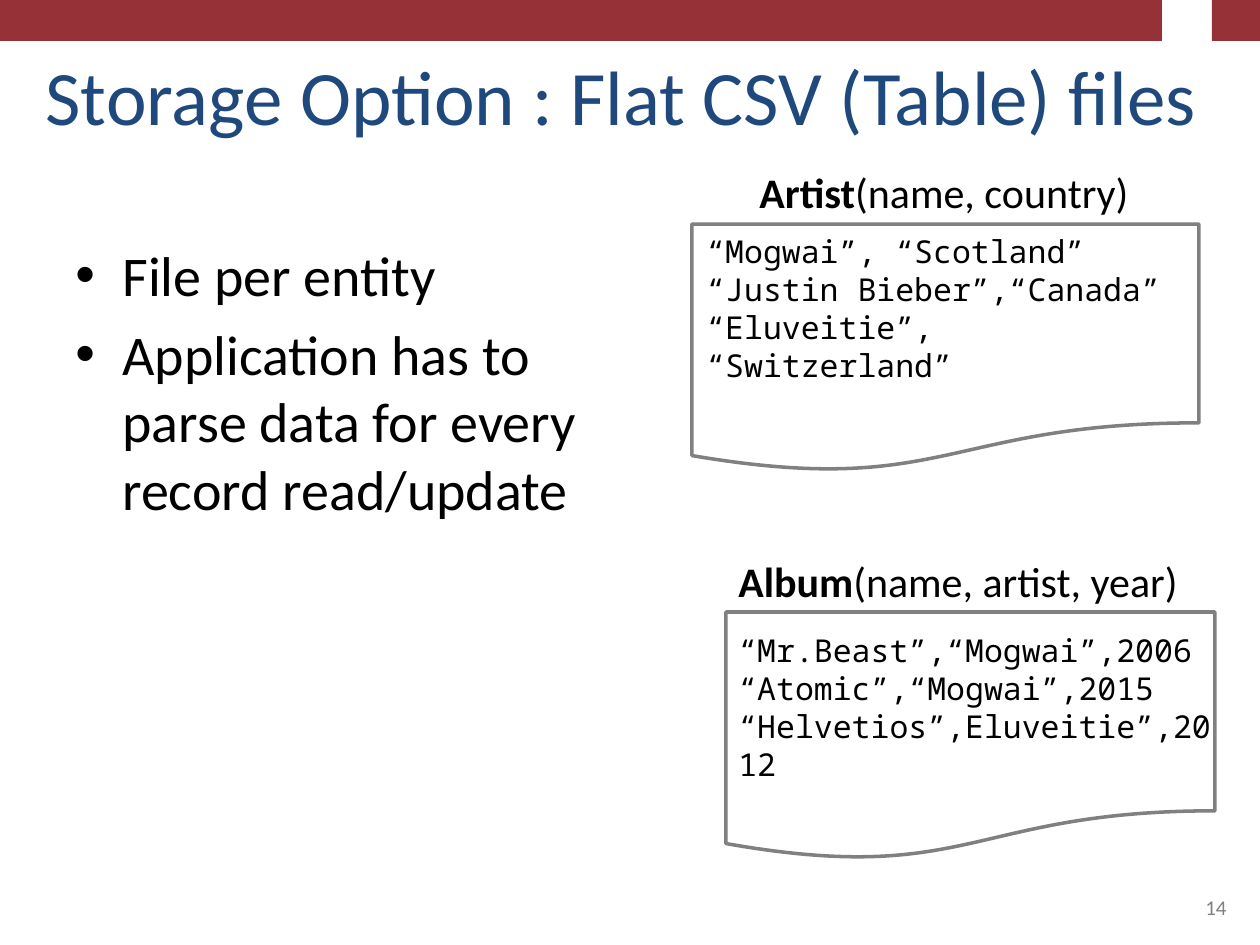
from dataclasses import dataclass

from lxml import etree
from pptx import Presentation
from pptx import util as u
from pptx.dml.color import RGBColor
from pptx.enum import shapes, text
from pptx.oxml.ns import qn

PX_PER_INCH = 126


@dataclass(frozen=True)
class Theme:
    band: RGBColor = RGBColor(0x96, 0x32, 0x37)
    title: RGBColor = RGBColor(0x1F, 0x49, 0x7D)
    ink: RGBColor = RGBColor(0, 0, 0)
    grey: RGBColor = RGBColor(0x80, 0x80, 0x80)
    font: str = "Calibri"
    mono: str = "Noto Sans Mono"
    title_pt: int = 44
    body_pt: int = 32
    label_pt: int = 24
    code_pt: int = 18
    number_pt: int = 12


THEME = Theme()


@dataclass(frozen=True)
class Box:
    left: int
    top: int
    width: int
    height: int

    def emu(self) -> list[int]:
        return [px(v) for v in (self.left, self.top, self.width, self.height)]


@dataclass(frozen=True)
class CsvFile:
    entity: str
    fields: str
    label: Box
    page: Box
    rows_box: Box
    rows: tuple[str, ...]


FILES = (
    CsvFile("Artist", "(name, country)", Box(747, 160, 397, 63),
            Box(692, 224, 507, 248), Box(694, 226, 501, 127),
            ("“Mogwai”, “Scotland”\v“Justin Bieber”,“Canada”",
             "“Eluveitie”, “Switzerland”")),
    CsvFile("Album", "(name, artist, year)", Box(726, 549, 479, 63),
            Box(726, 612, 489, 248), Box(726, 625, 501, 127),
            ("“Mr.Beast”,“Mogwai”,2006\v“Atomic”,“Mogwai”,2015",
             "“Helvetios”,Eluveitie”,2012")),
)
BULLETS = ("File per entity",
           "Application has to\vparse data for every\vrecord read/update")
BAND_PIECES = (Box(0, 0, 677, 41), Box(454, 0, 687, 41),
               Box(1115, 0, 47, 41), Box(1212, 0, 48, 41))


def px(value: int) -> int:
    return round(value * u.Inches(1) / PX_PER_INCH)


def style(p, size: int, color: RGBColor, font: str = THEME.font) -> None:
    for r in p.runs:
        r.font.size, r.font.name = u.Pt(size), font
        r.font.color.rgb = color


def add_text(s, box: Box, lines: tuple[str, ...], size: int,
             color: RGBColor = THEME.ink, font: str = THEME.font):
    tf = s.shapes.add_textbox(*box.emu()).text_frame
    tf.word_wrap = True
    tf.text = "\n".join(lines)
    for p in tf.paragraphs:
        style(p, size, color, font)
    return tf


def add_band_piece(s, box: Box) -> None:
    sp = s.shapes.add_shape(shapes.MSO_SHAPE.RECTANGLE, *box.emu())
    sp.shadow.inherit = False
    sp.fill.solid()
    sp.fill.fore_color.rgb = THEME.band
    sp.line.fill.background()


def add_title(s, title: str) -> None:
    sp = s.shapes.title
    sp.left, sp.top, sp.width, sp.height = Box(0, 38, 1260, 109).emu()
    tf = sp.text_frame
    tf.text = title
    tf.auto_size = text.MSO_AUTO_SIZE.NONE
    tf.vertical_anchor = text.MSO_ANCHOR.BOTTOM
    p = tf.paragraphs[0]
    p.alignment = text.PP_ALIGN.CENTER
    style(p, THEME.title_pt, THEME.title)


def add_bullets(s, box: Box, lines: tuple[str, ...]) -> None:
    tf = add_text(s, box, lines, THEME.body_pt)
    indent = px(47)
    for i, p in enumerate(tf.paragraphs):
        pPr = p._p.get_or_add_pPr()
        pPr.set("marL", str(indent))
        pPr.set("indent", str(-indent))
        etree.SubElement(pPr, qn("a:buFont")).set("typeface", "Arial")
        etree.SubElement(pPr, qn("a:buChar")).set("char", "•")
        if i:
            p.space_before = u.Pt(7)


def add_csv_file(s, file: CsvFile) -> None:
    sp = s.shapes.add_shape(shapes.MSO_SHAPE.FLOWCHART_DOCUMENT,
                            *file.page.emu())
    sp.shadow.inherit = False
    sp.fill.background()
    sp.line.color.rgb = THEME.grey
    sp.line.width = u.Pt(2)

    p = add_text(s, file.label, (file.entity,), THEME.label_pt).paragraphs[0]
    p.runs[0].font.bold = True
    p.add_run().text = file.fields
    style(p, THEME.label_pt, THEME.ink)

    add_text(s, file.rows_box, file.rows, THEME.code_pt, font=THEME.mono)


def main() -> None:
    prs = Presentation()
    prs.slide_width, prs.slide_height = px(1260), px(945)
    s = prs.slides.add_slide(prs.slide_layouts[5])

    for piece in BAND_PIECES:
        add_band_piece(s, piece)
    add_title(s, "Storage Option : Flat CSV (Table) files ")
    add_bullets(s, Box(63, 234, 1134, 677), BULLETS)
    for file in FILES:
        add_csv_file(s, file)

    number = add_text(s, Box(903, 861, 336, 65), ("14",),
                      THEME.number_pt, THEME.grey)
    number.vertical_anchor = text.MSO_ANCHOR.BOTTOM
    number.paragraphs[0].alignment = text.PP_ALIGN.RIGHT

    prs.save("out.pptx")


if __name__ == "__main__":
    main()
